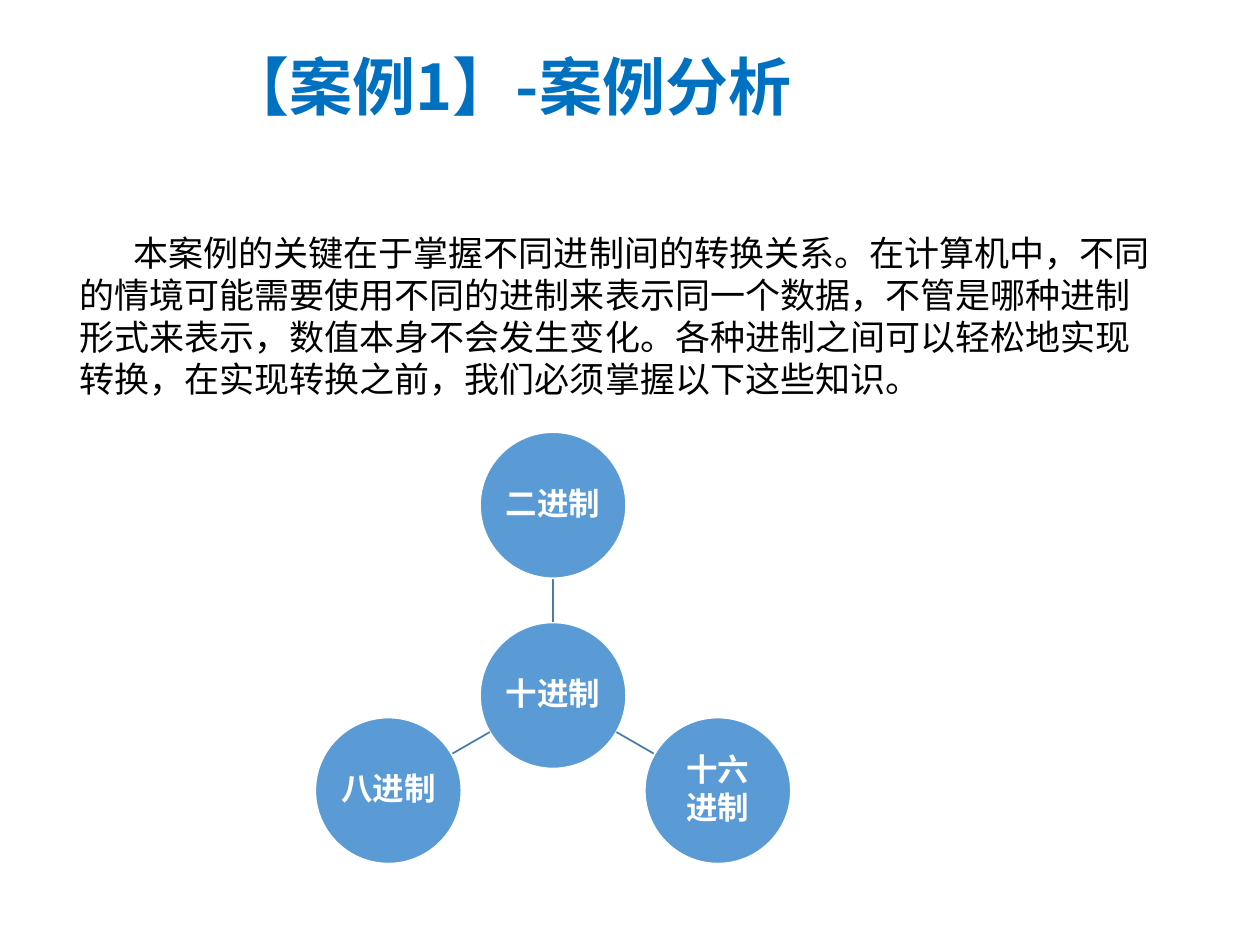
import math
from dataclasses import dataclass

from lxml import etree
from pptx import Presentation
from pptx.dml.color import RGBColor
from pptx.enum.shapes import MSO_CONNECTOR, MSO_SHAPE
from pptx.enum.text import MSO_ANCHOR, MSO_AUTO_SIZE, PP_ALIGN
from pptx.oxml.ns import qn
from pptx.util import Inches, Pt

LEFT, CENTER = PP_ALIGN.LEFT, PP_ALIGN.CENTER
TOP, MIDDLE = MSO_ANCHOR.TOP, MSO_ANCHOR.MIDDLE
OVAL, STRAIGHT = MSO_SHAPE.OVAL, MSO_CONNECTOR.STRAIGHT
NO_AUTOFIT = MSO_AUTO_SIZE.NONE
TITLE_ONLY = 5
WIDTH, HEIGHT = 10, 7.5


@dataclass(frozen=True)
class Theme:
    title_color: str = "0070C0"
    text_color: str = "000000"
    node_color: str = "5B9BD5"
    node_text_color: str = "FFFFFF"
    link_color: str = "497CAB"
    heading_font: str = "Noto Sans CJK SC"
    body_font: str = "Calibri"
    title_size: int = 36
    body_size: int = 20
    node_size: int = 18
    line_width: int = 1


class SlideBuilder:
    """Places elements by shares of the slide's width and height."""

    def __init__(self, presentation, theme):
        self.theme = theme
        self.width = presentation.slide_width
        self.height = presentation.slide_height
        layout = presentation.slide_layouts[TITLE_ONLY]
        self.slide = presentation.slides.add_slide(layout)

    def box(self, left, top, width, height):
        return (round(left * self.width), round(top * self.height),
                round(width * self.width), round(height * self.height))

    def set_text(self, shape, text, font, size, color, bold, align, anchor):
        frame = shape.text_frame
        frame.text = text
        frame.word_wrap = True
        frame.auto_size = NO_AUTOFIT
        frame.vertical_anchor = anchor
        for paragraph in frame.paragraphs:
            paragraph.alignment = align
            for run in paragraph.runs:
                run.font.name = font
                run.font.size = Pt(size)
                run.font.bold = bold
                run.font.color.rgb = RGBColor.from_string(color)
                east_asian = etree.Element(qn("a:ea"), typeface=font)
                run.font._element.find(qn("a:latin")).addnext(east_asian)
        return frame

    def title(self, text, *area):
        shape = self.slide.shapes.title
        shape.left, shape.top, shape.width, shape.height = self.box(*area)
        theme = self.theme
        self.set_text(shape, text, theme.heading_font, theme.title_size,
                      theme.title_color, True, LEFT, MIDDLE)

    def body(self, text, first_line_indent, *area):
        shape = self.slide.shapes.add_textbox(*self.box(*area))
        theme = self.theme
        frame = self.set_text(shape, text, theme.body_font, theme.body_size,
                              theme.text_color, False, LEFT, TOP)
        properties = frame.paragraphs[0]._p.get_or_add_pPr()
        properties.set("marL", "0")
        properties.set("indent", str(round(first_line_indent * self.width)))

    def node(self, text, center_x, center_y, diameter):
        """Draw a labelled circle; the diameter is a share of the width."""
        size = round(diameter * self.width)
        left = round(center_x * self.width - size / 2)
        top = round(center_y * self.height - size / 2)
        shape = self.slide.shapes.add_shape(OVAL, left, top, size, size)
        shape.shadow.inherit = False
        theme = self.theme
        shape.fill.solid()
        shape.fill.fore_color.rgb = RGBColor.from_string(theme.node_color)
        shape.line.color.rgb = RGBColor.from_string(theme.node_text_color)
        shape.line.width = Pt(theme.line_width)
        frame = self.set_text(shape, text, theme.heading_font, theme.node_size,
                              theme.node_text_color, True, CENTER, MIDDLE)
        frame.margin_left = frame.margin_right = Inches(0.01)
        frame.margin_top = frame.margin_bottom = Inches(0.01)
        for paragraph in frame.paragraphs:
            paragraph.line_spacing = 0.9
            paragraph.space_after = Pt(2)

    def link(self, start, end):
        points = [round(share * side) for point in (start, end)
                  for share, side in zip(point, (self.width, self.height))]
        connector = self.slide.shapes.add_connector(STRAIGHT, *points)
        connector.line.color.rgb = RGBColor.from_string(self.theme.link_color)
        connector.line.width = Pt(self.theme.line_width)
        etree.SubElement(connector._element.spPr, qn("a:effectLst"))

    def radial(self, hub, spokes, center_x, center_y, diameter, reach):
        """Spread the spokes evenly clockwise round the hub, from the top."""
        def around(angle, distance):
            return (center_x + distance * math.cos(angle),
                    center_y + distance * math.sin(angle) * self.width / self.height)

        self.node(hub, center_x, center_y, diameter)
        for index, label in enumerate(spokes):
            angle = 2 * math.pi * index / len(spokes) - math.pi / 2
            self.link(around(angle, diameter / 2),
                      around(angle, reach - diameter / 2))
            self.node(label, *around(angle, reach), diameter)


def main():
    presentation = Presentation()
    presentation.slide_width = Inches(WIDTH)
    presentation.slide_height = Inches(HEIGHT)
    builder = SlideBuilder(presentation, Theme())
    builder.title("【案例1】-案例分析",
                  1.7 / WIDTH, 0.26 / HEIGHT, 5.63 / WIDTH, 0.84 / HEIGHT)
    builder.body(
        "本案例的关键在于掌握不同进制间的转换关系。在计算机中，不同的情境可能需要"
        "使用不同的进制来表示同一个数据，不管是哪种进制形式来表示，数值本身不会发生"
        "变化。各种进制之间可以轻松地实现转换，在实现转换之前，我们必须掌握以下这些知识。",
        0.43 / WIDTH,
        0.53 / WIDTH, 1.79 / HEIGHT, 8.72 / WIDTH, 1.69 / HEIGHT)
    builder.radial("十进制", ["二进制", "十六\n进制", "八进制"],
                   4.39 / WIDTH, 5.52 / HEIGHT, 1.16 / WIDTH, 1.51 / WIDTH)
    presentation.save("out.pptx")


if __name__ == "__main__":
    main()
